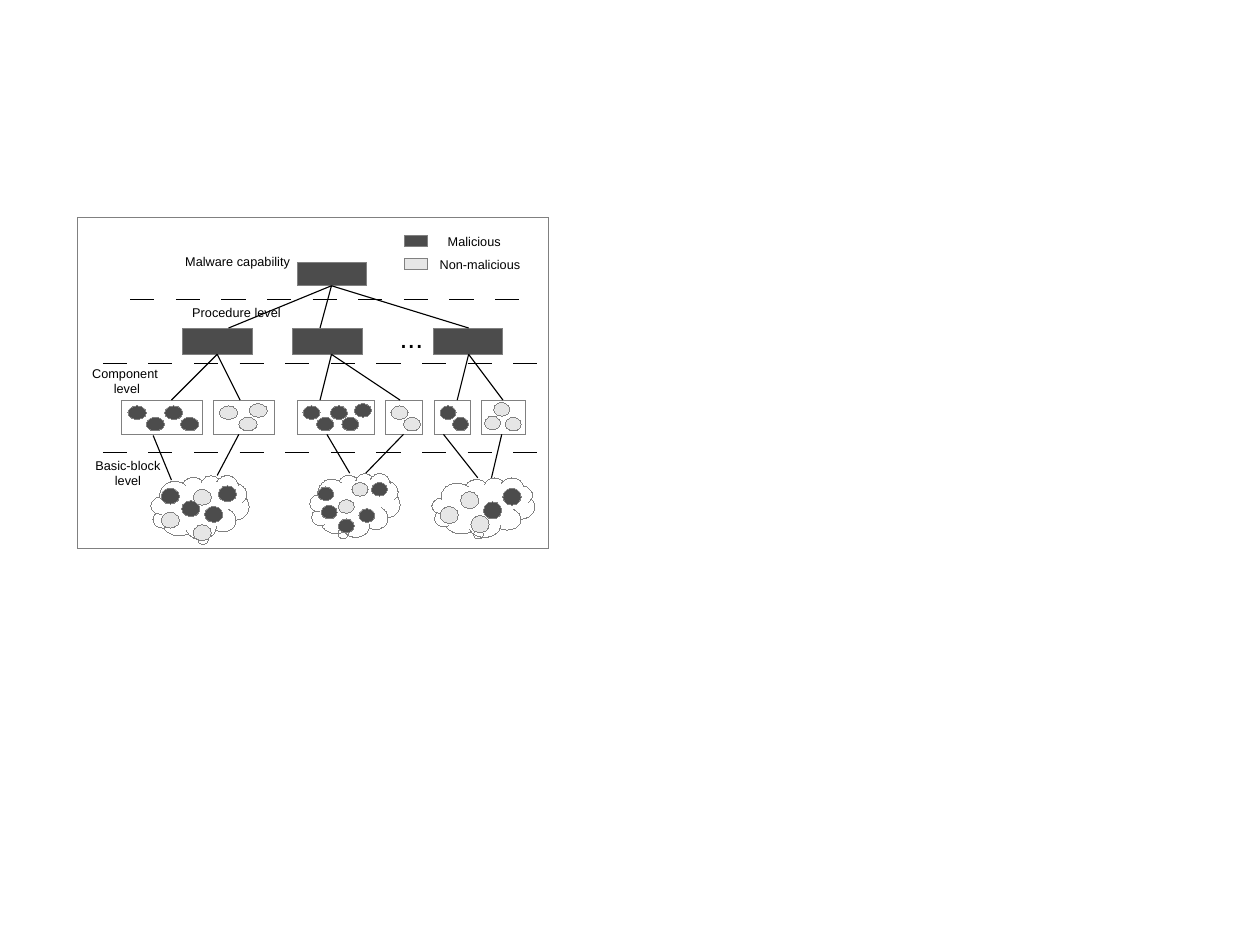
from lxml.etree import SubElement
from pptx import Presentation
from pptx.dml.color import RGBColor
from pptx.enum.shapes import MSO_CONNECTOR as Connector, MSO_SHAPE as Shape
from pptx.enum.text import MSO_ANCHOR as Anchor, PP_ALIGN as Align
from pptx.oxml.ns import qn
from pptx.util import Cm, Inches, Pt

COLORS = {"malicious": "4C4C4C", "benign": "E6E6E6", "outline": "808080", "ink": "000000"}


class MalwareDiagram:
    """Draws diagram parts on a slide grid whose cells are a tenth of an inch."""

    cell = Inches(0.1)
    font = "Arial"
    hairline = Pt(0.01)

    def __init__(self, slide):
        self.slide = slide

    def grid(self, *lengths):
        return [round(length * self.cell) for length in lengths]

    def color(self, name):
        return RGBColor.from_string(COLORS[name])

    def shape(self, kind, box, fill=None, adjustments=()):
        part = self.slide.shapes.add_shape(kind, *self.grid(*box))
        part.shadow.inherit = False
        if fill:
            part.fill.solid()
            part.fill.fore_color.rgb = self.color(fill)
        else:
            part.fill.background()
        part.line.color.rgb = self.color("outline")
        part.line.width = self.hairline
        for index, value in enumerate(adjustments):
            part.adjustments[index] = value

    def blobs(self, places, size, fill):
        for place in places:
            self.shape(Shape.OVAL, (*place, *size), fill)

    def line(self, start, end, width=0.71):
        link = self.slide.shapes.add_connector(Connector.STRAIGHT, *self.grid(*start, *end))
        link.line.color.rgb = self.color("ink")
        link.line.width = Pt(width)
        SubElement(link._element.spPr, qn("a:effectLst"))
        return link

    def divider(self, left, right, row, dash=2.06, gap=1.85, width=0.5):
        outline = self.line((left, row), (right, row), width)._element.spPr.find(qn("a:ln"))
        pattern = SubElement(outline, qn("a:custDash"))
        dash_share, gap_share = (
            str(round(length * self.cell / Pt(width) * 100000)) for length in (dash, gap))
        SubElement(pattern, qn("a:ds"), d=dash_share, sp=gap_share)

    def label(self, text, box, size=8):
        frame = self.slide.shapes.add_textbox(*self.grid(*box)).text_frame
        frame.word_wrap = True
        frame.vertical_anchor = Anchor.MIDDLE
        frame.text = text
        for paragraph in frame.paragraphs:
            paragraph.alignment = Align.CENTER
            for run in paragraph.runs:
                run.font.name = self.font
                run.font.size = Pt(size)
                run.font.color.rgb = self.color("ink")


CAPABILITY = (26, 23, 6.1, 2)
PROCEDURE_COLUMNS = (16, 25.6, 37.9)
LINKS = [
    ((29, 25), [(20, 28.7), (28, 28.7), (41, 28.7)]),
    ((19, 31), [(15, 35), (21, 35)]),
    ((29, 31), [(28, 35), (35, 35)]),
    ((41, 31), [(40, 35), (44, 35)]),
    ((13.4, 38.1), [(15, 42)]),
    ((20.9, 38), [(19, 41.6)]),
    ((28.6, 38), [(30.6, 41.4)]),
    ((35.3, 38), [(32, 41.4)]),
    ((38.8, 38), [(41.8, 41.8)]),
    ((43.9, 38), [(43, 41.8)]),
]
COMPONENTS = [
    (10.6, 7.1, "malicious", 1.6, [(11.2, 35.5), (12.8, 36.5), (14.4, 35.5), (15.8, 36.5)]),
    (18.7, 5.3, "benign", 1.6, [(19.2, 35.5), (20.9, 36.5), (21.8, 35.3)]),
    (26, 6.8, "malicious", 1.5,
     [(26.5, 35.5), (27.7, 36.5), (28.9, 35.5), (29.9, 36.5), (31, 35.3)]),
    (33.7, 3.3, "benign", 1.5, [(34.2, 35.5), (35.3, 36.5)]),
    (38, 3.2, "malicious", 1.4, [(38.5, 35.5), (39.6, 36.5)]),
    (42.1, 3.9, "benign", 1.4, [(42.4, 36.4), (43.2, 35.2), (44.2, 36.5)]),
]
BASIC_BLOCKS = [
    ((13.2, 41.6, 8.6, 5.6), (0.028, 0.432), (1.6, 1.4),
     [(14.1, 42.7), (15.9, 43.8), (19.1, 42.5), (17.9, 44.3)],
     [(14.1, 44.8), (16.9, 42.8), (16.9, 45.9)]),
    ((27.1, 41.4, 7.9, 5.6), (-0.09, 0.31), (1.4, 1.2),
     [(27.8, 42.6), (32.5, 42.2), (28.1, 44.2), (29.6, 45.4), (31.4, 44.5)],
     [(29.6, 43.7), (30.8, 42.2)]),
    ((37.8, 41.8, 9, 5.2), (-0.03, 0.28), (1.6, 1.5),
     [(44, 42.7), (42.3, 43.9)],
     [(40.3, 43), (38.5, 44.3), (41.2, 45.1)]),
]
DIVIDERS = [(11.4, 46.4, 26.2), (9, 47.2, 31.8), (9, 47.2, 39.6)]
LABELS = [
    ("Malware capability", (7.3, 21.8, 27, 2.2)),
    ("Procedure level", (7.2, 26.2, 27, 2.2)),
    ("Component \nlevel", (7, 31.6, 8.2, 3.5)),
    ("Basic-block level", (6.2, 39.6, 10, 3.5)),
]
LEGEND = [("Malicious", "malicious", 20, 9), ("Non-malicious", "benign", 22, 10)]


def main():
    deck = Presentation()
    deck.slide_width, deck.slide_height = Cm(28), Cm(21)
    diagram = MalwareDiagram(deck.slides.add_slide(deck.slide_layouts[6]))

    diagram.shape(Shape.RECTANGLE, (6.8, 19, 41.2, 29))
    diagram.shape(Shape.RECTANGLE, CAPABILITY, "malicious")
    for column in PROCEDURE_COLUMNS:
        diagram.shape(Shape.RECTANGLE, (column, 28.7, 6.1, 2.3), "malicious")
    diagram.label("...", (33, 27.6, 6, 3.8), 18)

    for cloud, tail, blob_size, malicious, benign in BASIC_BLOCKS:
        diagram.shape(Shape.CLOUD_CALLOUT, cloud, adjustments=tail)
        diagram.blobs(malicious, blob_size, "malicious")
        diagram.blobs(benign, blob_size, "benign")
    for column, width, verdict, blob_width, places in COMPONENTS:
        diagram.shape(Shape.RECTANGLE, (column, 35, width, 3))
        diagram.blobs(places, (blob_width, 1.2), verdict)

    for parent, children in LINKS:
        for child in children:
            diagram.line(parent, child)
    for left, right, row in DIVIDERS:
        diagram.divider(left, right, row)
    for text, box in LABELS:
        diagram.label(text, box)
    for text, verdict, row, width in LEGEND:
        diagram.shape(Shape.RECTANGLE, (35.4, row + 0.6, 2, 1), verdict)
        diagram.label(text, (37, row, width, 2.2))

    deck.save("out.pptx")


if __name__ == "__main__":
    main()
